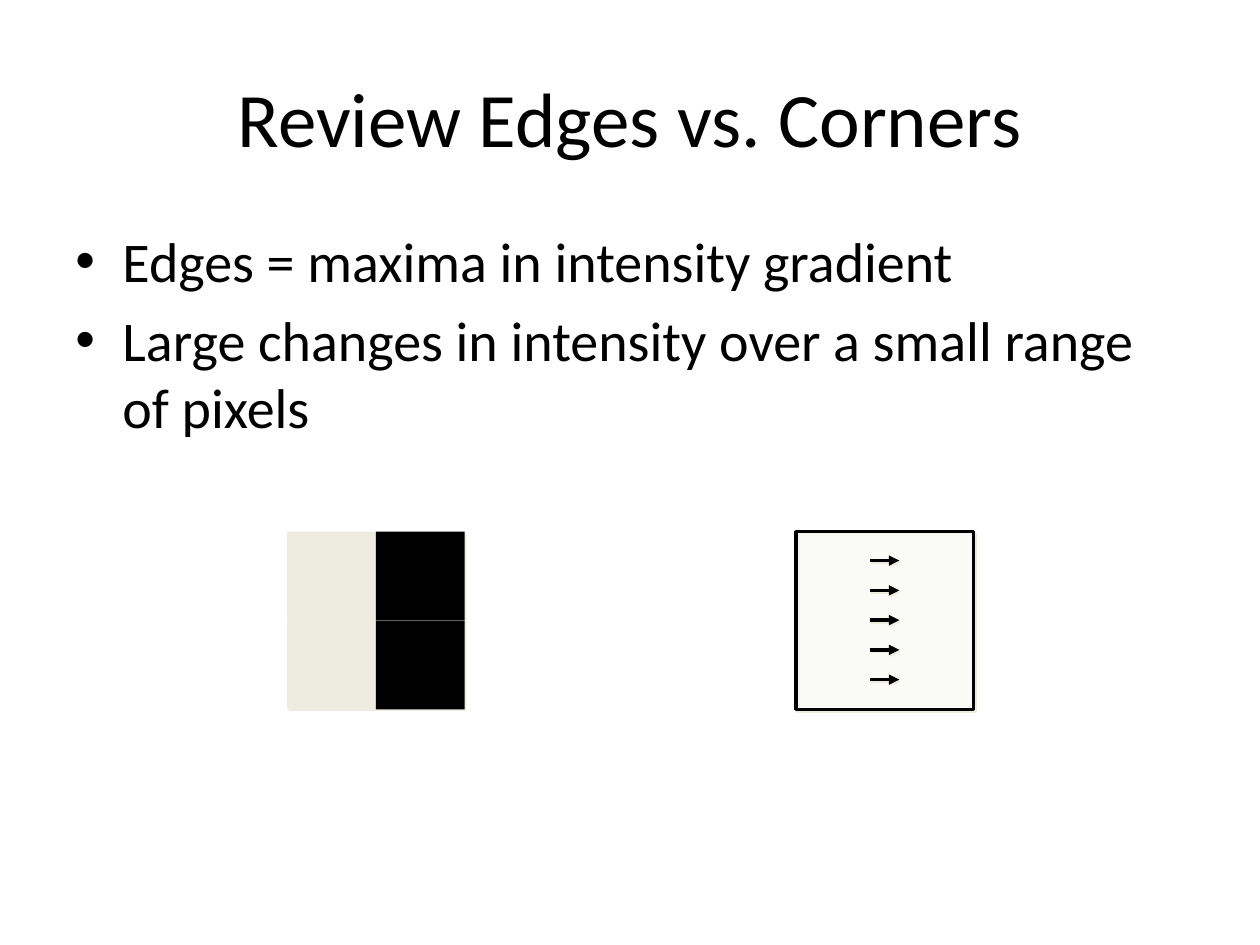
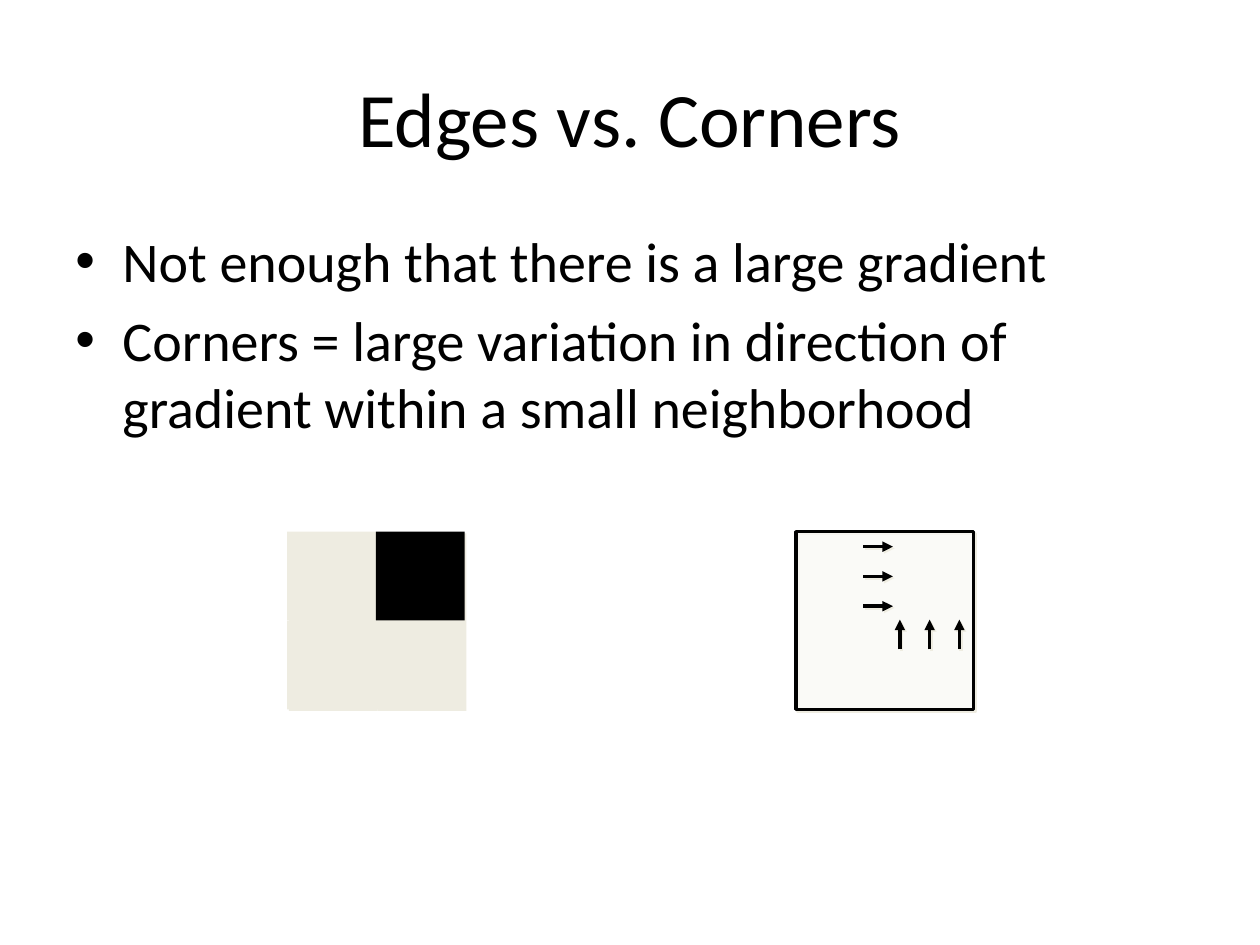
from lxml import etree
from pptx import Presentation
from pptx.dml.color import RGBColor
from pptx.enum.shapes import MSO_CONNECTOR, MSO_SHAPE
from pptx.enum.text import MSO_ANCHOR, PP_ALIGN
from pptx.oxml.ns import qn
from pptx.util import Cm, Pt

STRAIGHT = MSO_CONNECTOR.STRAIGHT
RECTANGLE = MSO_SHAPE.RECTANGLE
MIDDLE, TOP = MSO_ANCHOR.MIDDLE, MSO_ANCHOR.TOP
CENTER, LEFT = PP_ALIGN.CENTER, PP_ALIGN.LEFT

THEME = {
    "black": RGBColor.from_string("000000"),
    "white": RGBColor.from_string("FFFFFF"),
    "cream": RGBColor.from_string("EEECE1"),
    "outline": Pt(2),
    "title": {"name": "Calibri", "size": Pt(44)},
    "body": {"name": "Calibri", "size": Pt(32)},
    "body_gap": Pt(6.4),
}

CELL = 1.79
BOARD_LEFT, FIELD_LEFT, SQUARE_TOP = 5.79, 16.05, 10.72
STEP = 0.6

SLIDES = [
    {
        "title": "Review Edges vs. Corners",
        "bullets": [
            "Edges = maxima in intensity gradient",
            "Large changes in intensity over a small range of pixels",
        ],
        "cells": [(0, 0, "cream"), (1, 0, "black"), (0, 1, "cream"), (1, 1, "black")],
        "arrows": [(17.53, 11.3 + STEP * row, STEP, 0) for row in range(5)],
    },
    {
        "title": "Edges vs. Corners",
        "bullets": [
            "Not enough that there is a large gradient",
            "Corners = large variation in direction of gradient within a small neighborhood",
        ],
        "cells": [(0, 0, "cream"), (1, 1, "cream"), (1, 0, "black"), (0, 1, "cream")],
        "arrows": [(17.4, 11.02 + STEP * row, STEP, 0) for row in range(3)]
        + [(18.14 + STEP * column, 13.09, 0, -STEP) for column in range(3)],
    },
]


def add_text(slide, top, height, lines, style, anchor, align, bullet=None):
    box = slide.shapes.add_textbox(Cm(1.27), Cm(top), Cm(22.86), Cm(height))
    frame = box.text_frame
    frame.word_wrap = True
    frame.vertical_anchor = anchor
    for index, line in enumerate(lines):
        para = frame.paragraphs[0] if index == 0 else frame.add_paragraph()
        para.alignment = align
        if bullet:
            properties = para._p.get_or_add_pPr()
            properties.set("marL", str(Cm(0.95)))
            properties.set("indent", str(-Cm(0.95)))
            etree.SubElement(properties, qn("a:buFont"), typeface="Arial")
            etree.SubElement(properties, qn("a:buChar"), char=bullet)
        if index:
            para.space_before = THEME["body_gap"]
        span = para.add_run()
        span.text = line
        for name, value in THEME[style].items():
            setattr(span.font, name, value)
        span.font.color.rgb = THEME["black"]


def add_shadow(item):
    properties = item._element.spPr
    effects = properties.find(qn("a:effectLst"))
    if effects is None:
        effects = etree.SubElement(properties, qn("a:effectLst"))
    shadow = etree.SubElement(
        effects, qn("a:outerShdw"), dist=str(Pt(1.4)), dir="2700000", algn="ctr", rotWithShape="0"
    )
    etree.SubElement(shadow, qn("a:srgbClr"), val=str(THEME["cream"]))


deck = Presentation()
deck.slide_width, deck.slide_height = Cm(25.4), Cm(19.05)

for page in SLIDES:
    slide = deck.slides.add_slide(deck.slide_layouts[6])
    add_text(slide, 0.76, 3.18, [page["title"]], "title", MIDDLE, CENTER)
    add_text(slide, 4.45, 12.57, page["bullets"], "body", TOP, LEFT, "•")

    squares = [
        (BOARD_LEFT + CELL * column, SQUARE_TOP + CELL * row, CELL, color)
        for column, row, color in page["cells"]
    ]
    squares.append((FIELD_LEFT, SQUARE_TOP, CELL * 2, "white"))
    for left, top, side, color in squares:
        square = slide.shapes.add_shape(RECTANGLE, Cm(left), Cm(top), Cm(side), Cm(side))
        square.shadow.inherit = False
        square.fill.solid()
        square.fill.fore_color.rgb = THEME[color]
        if color == "white":
            tint = square._element.spPr.find(qn("a:solidFill")).find(qn("a:srgbClr"))
            etree.SubElement(tint, qn("a:alpha"), val="50000")
            square.line.color.rgb = THEME["black"]
            square.line.width = THEME["outline"]
        else:
            square.line.fill.background()
        add_shadow(square)

    for left, top, run, rise in page["arrows"]:
        arrow = slide.shapes.add_connector(
            STRAIGHT, Cm(left), Cm(top), Cm(left + run), Cm(top + rise)
        )
        arrow.line.color.rgb = THEME["black"]
        arrow.line.width = THEME["outline"]
        outline = arrow._element.spPr.find(qn("a:ln"))
        etree.SubElement(outline, qn("a:tailEnd"), type="triangle")
        add_shadow(arrow)

deck.save("out.pptx")
